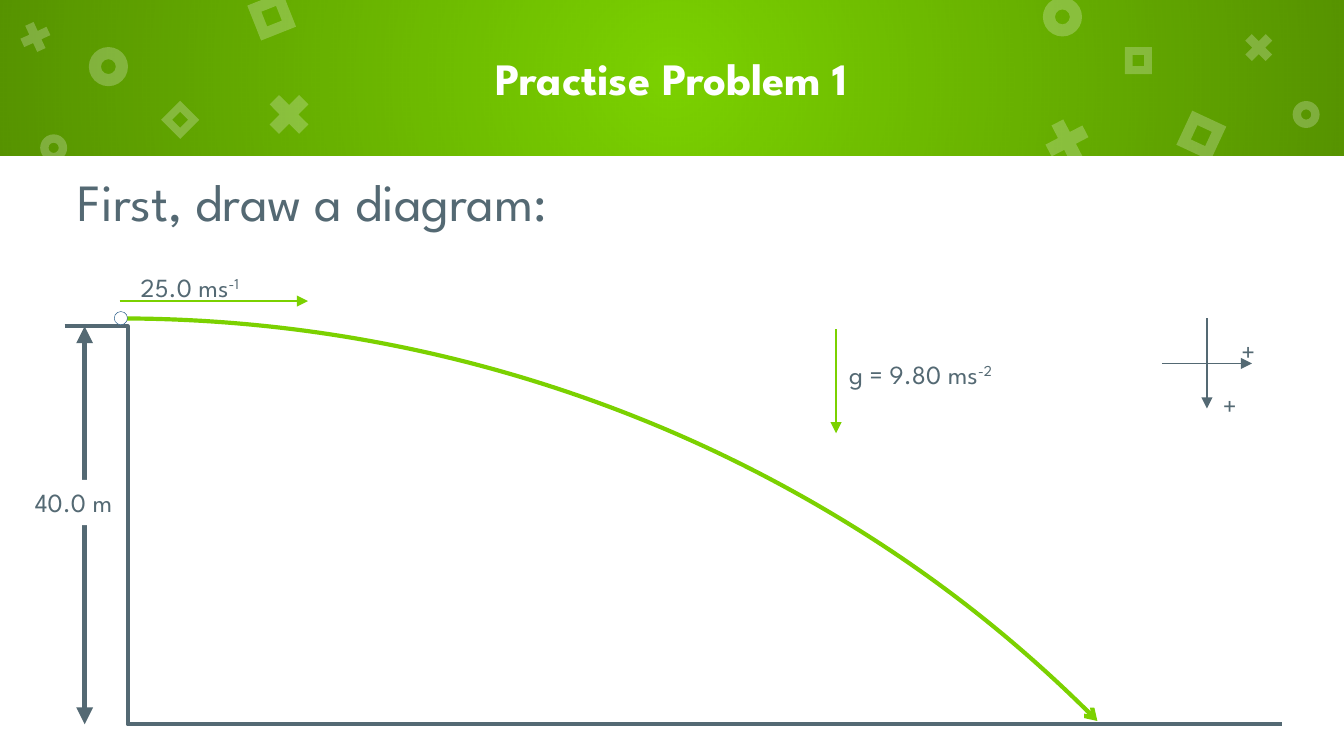
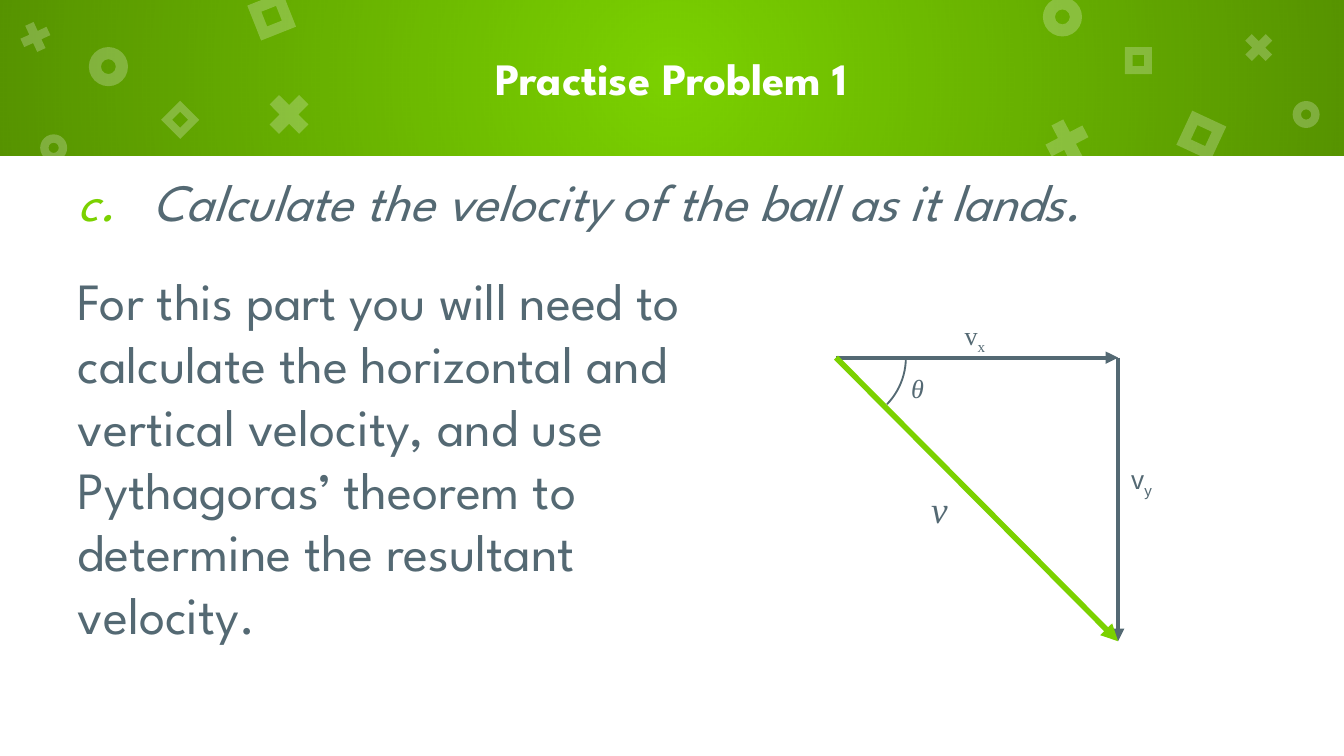
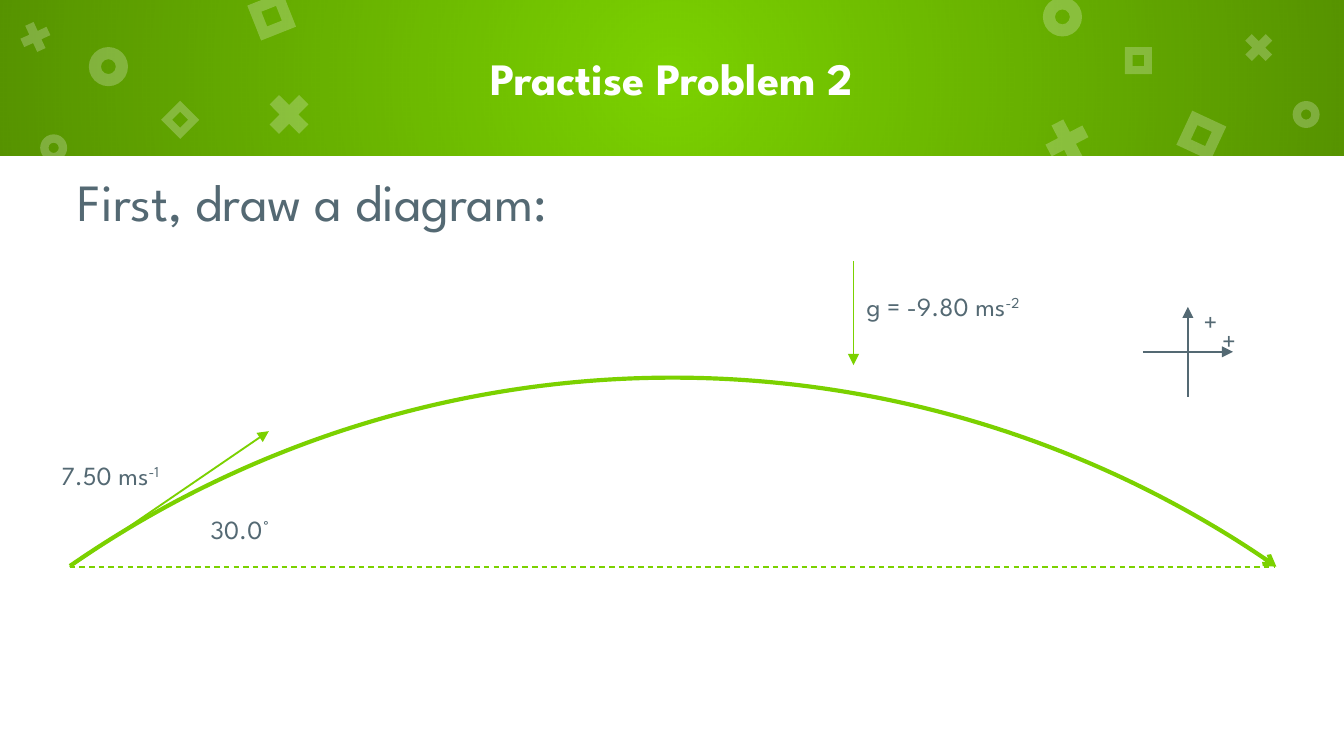
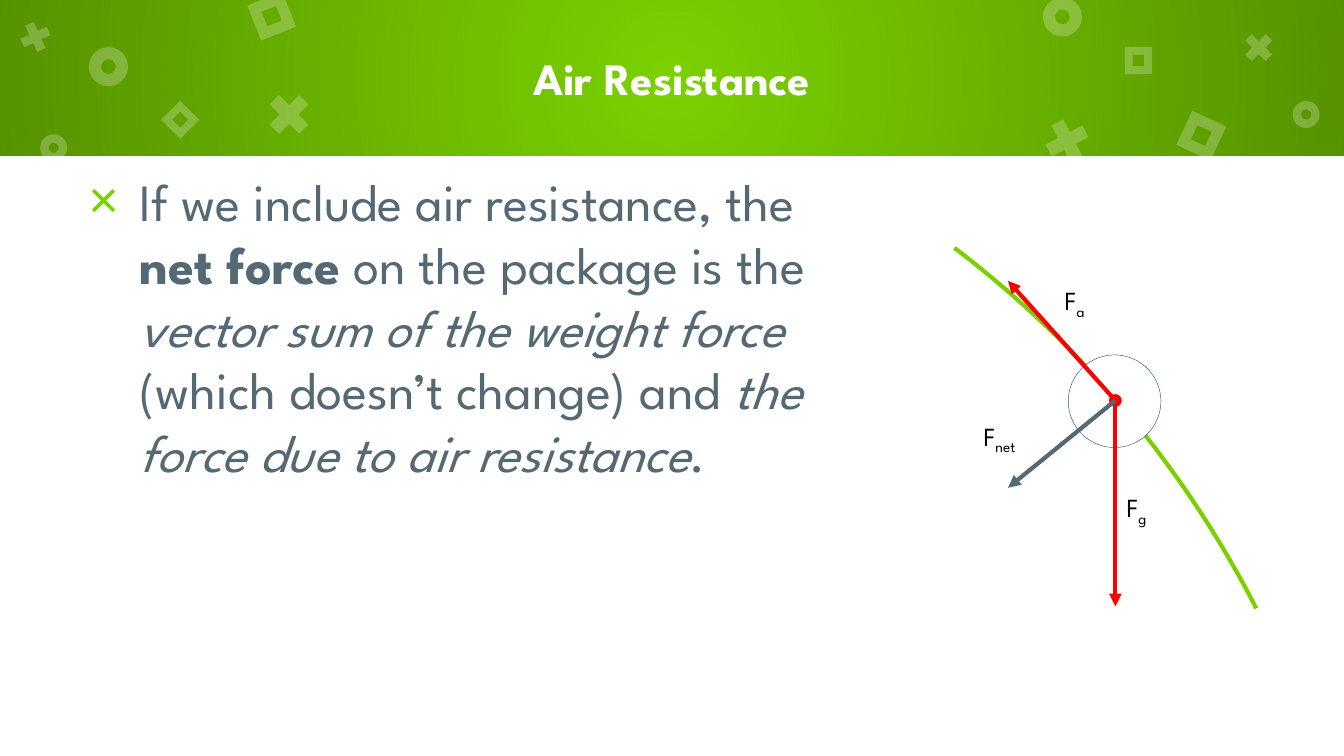
from lxml import etree
from pptx import Presentation
from pptx.dml.color import RGBColor
from pptx.enum import dml, shapes, text
from pptx.oxml.ns import qn
from pptx.util import Cm, Pt

COLORS = {
    "green": "7BD100",
    "slate": "546973",
    "white": "FFFFFF",
    "black": "000000",
    "red": "FF0000",
    "outline": "2B5F8A",
}
FONT = "League Spartan"
SLIDE_W, SLIDE_H, BAND_H = 25.4, 14.29, 2.95
BODY_BOX = (1.22, BAND_H, 23.01, 10.72)
LABEL_H = 0.86
KIND = shapes.MSO_SHAPE

# left, top, size, rotation of the band ornaments, by outline and its thickness
ORNAMENTS = {
    (KIND.DONUT, 0.31): [
        (1.68, 0.89, 0.74, 0), (19.71, -0.05, 0.74, 0),
        (0.76, 2.54, 0.51, 0), (24.43, 1.91, 0.51, 0)],
    (KIND.MATH_MULTIPLY, 0.235): [
        (4.93, 1.63, 1.07, 0), (19.63, 2.13, 1.07, 17.5),
        (0.3, 0.33, 0.74, 20.4), (23.42, 0.53, 0.74, 0)],
    (KIND.FRAME, 0.289): [
        (4.78, -0.05, 0.71, 338.4), (22.35, 2.21, 0.71, 25),
        (3.15, 2.01, 0.51, 45), (21.26, 0.89, 0.51, 0)],
}


def rgb(color):
    return RGBColor.from_string(COLORS[color])


def sub(parent, tag, **attributes):
    """Append an XML child such as a:alpha and return it."""
    return etree.SubElement(parent, qn(tag), attributes)


def write(frame, runs, size=14, color="slate", font=FONT, bold=False, italic=False,
          align="LEFT", anchor="TOP", inset=None, after=0):
    """Fill a frame with one paragraph; runs are strings or (string, changes)."""
    frame.word_wrap = True
    frame.auto_size = text.MSO_AUTO_SIZE.NONE
    frame.vertical_anchor = getattr(text.MSO_ANCHOR, anchor)
    if inset is not None:
        frame.margin_left = frame.margin_right = Cm(inset)
        frame.margin_top = frame.margin_bottom = Cm(inset)
    paragraph = frame.paragraphs[0]
    paragraph.alignment = getattr(text.PP_ALIGN, align)
    paragraph.space_before = Pt(0)
    paragraph.space_after = Pt(after)
    for item in runs:
        words, changes = (item, {}) if isinstance(item, str) else item
        run = paragraph.add_run()
        run.text = words
        run.font.name = font
        run.font.size = Pt(size)
        run.font.bold = changes.get("bold", bold)
        run.font.italic = changes.get("italic", italic)
        run.font.color.rgb = rgb(color)
        if "baseline" in changes:
            run._r.get_or_add_rPr().set("baseline", str(changes["baseline"] * 1000))
    return paragraph


def sup(words):
    return words, {"baseline": 30}


def low(words):
    return words, {"baseline": -25}


def set_bullet(paragraph, margin=0, hanging=0, tag="a:buNone", **attributes):
    props = paragraph._p.get_or_add_pPr()
    props.set("marL", str(Cm(margin)))
    props.set("indent", str(-Cm(hanging)))
    if tag != "a:buNone":
        sub(sub(props, "a:buClr"), "a:srgbClr", val=COLORS["green"])
    sub(props, tag, **attributes)


def place(shape, left, top, width, height):
    shape.left, shape.top, shape.width, shape.height = map(Cm, (left, top, width, height))


def add_arrowheads(shape, head, tail):
    outline = shape._element.spPr.find(qn("a:ln"))
    for tag, style in (("a:headEnd", head), ("a:tailEnd", tail)):
        if style:
            sub(outline, tag, type=style)


def add_figure(slide, kind, left, top, width, height, fill=None, line=None, weight=1,
               rotation=0, tail=None):
    figure = slide.shapes.add_shape(kind, *map(Cm, (left, top, width, height)))
    figure.shadow.inherit = False
    figure.rotation = rotation
    if fill:
        figure.fill.solid()
        figure.fill.fore_color.rgb = rgb(fill)
    else:
        figure.fill.background()
    if line:
        figure.line.color.rgb = rgb(line)
        figure.line.width = Pt(weight)
        add_arrowheads(figure, None, tail)
    else:
        figure.line.fill.background()
    return figure


def add_arc(slide, left, top, width, height, start, end, **style):
    """Draw an arc between two angles in degrees, clockwise from the right."""
    arc = add_figure(slide, KIND.ARC, left, top, width, height, **style)
    arc.adjustments[0] = start * 0.6
    arc.adjustments[1] = end * 0.6


def add_line(slide, start, end, color="slate", weight=2.25, head=None, tail=None,
             dash=False, bend=None):
    """Join two points; bend is the share of the width where an elbow turns."""
    kind = shapes.MSO_CONNECTOR.STRAIGHT if bend is None else shapes.MSO_CONNECTOR.ELBOW
    line = slide.shapes.add_connector(kind, *map(Cm, (*start, *end)))
    line.line.color.rgb = rgb(color)
    line.line.width = Pt(weight)
    if dash:
        line.line.dash_style = dml.MSO_LINE.DASH
    add_arrowheads(line, head, tail)
    props = line._element.spPr
    sub(props, "a:effectLst")
    if bend is not None:
        guides = props.find(qn("a:prstGeom")).get_or_add_avLst()
        sub(guides, "a:gd", name="adj1", fmla=f"val {round(bend * 100000)}")


def add_label(slide, left, top, width, *runs, height=LABEL_H, **style):
    box = slide.shapes.add_textbox(*map(Cm, (left, top, width, height)))
    write(box.text_frame, runs, **style)


def add_axes(slide, x, y, down):
    """Draw the axes that show which directions count as positive."""
    arm = 0.85
    side = 1 if down else -1
    add_line(slide, (x, y + side * arm), (x, y - side * arm), weight=0.75, head="triangle")
    add_line(slide, (x - arm, y), (x + arm, y), weight=0.75, tail="triangle")
    for dx, dy in ((0.05, 0.37 if down else -1.01), (0.4, -0.65)):
        add_label(slide, x + dx, y + dy, 0.58, "+", align="CENTER")


def add_gravity(slide, x, y, value):
    add_line(slide, (x, y), (x, y + 1.97), "green", 1, tail="triangle")
    add_label(slide, x, y + 0.43, 3.94, f"g = {value} ms", sup("-2"))


def build_layout(layout, slide):
    """Draw the shared band on a slide and move it behind the layout's text."""
    layout.background.fill.solid()
    layout.background.fill.fore_color.rgb = rgb("green")
    place(layout.placeholders[0], 2.41, 0, 20.57, BAND_H)
    place(layout.placeholders[1], *BODY_BOX)

    shade = add_figure(slide, KIND.RECTANGLE, 0, 0, SLIDE_W, BAND_H)
    gradient = etree.Element(qn("a:gradFill"), {"rotWithShape": "1"})
    stops = sub(gradient, "a:gsLst")
    for position, alpha in ((0, 0), (100000, 30000)):
        stop = sub(stops, "a:gs", pos=str(position))
        sub(sub(stop, "a:srgbClr", val=COLORS["black"]), "a:alpha", val=str(alpha))
    radial = sub(gradient, "a:path", path="circle")
    sub(radial, "a:fillToRect", l="50000", t="50000", r="50000", b="50000")
    props = shade._element.spPr
    props.replace(props.find(qn("a:noFill")), gradient)

    page = add_figure(slide, KIND.RECTANGLE, 0, BAND_H, SLIDE_W, SLIDE_H - BAND_H, "white")
    band = [shade, page]
    for (kind, thickness), spots in ORNAMENTS.items():
        for left, top, size, rotation in spots:
            ornament = add_figure(slide, kind, left, top, size, size, "white",
                                  rotation=rotation)
            ornament.adjustments[0] = thickness
            tint = ornament._element.spPr.find(qn("a:solidFill"))[0]
            sub(tint, "a:alpha", val="24000")
            band.append(ornament)
    for depth, part in enumerate(band):
        layout.shapes._spTree.insert(2 + depth, part._element)


def add_slide(prs, title, runs, box=BODY_BOX, bullet=None, **style):
    layout = prs.slide_layouts[1]
    slide = prs.slides.add_slide(layout)
    if len(prs.slides) == 1:
        build_layout(layout, slide)
    write(slide.shapes.title.text_frame, [title], size=24, color="white", bold=True,
          align="CENTER", anchor="MIDDLE", inset=0.25)
    body = slide.placeholders[1]
    place(body, *box)
    paragraph = write(body.text_frame, runs, size=28, inset=0.25, **style)
    set_bullet(paragraph, **(bullet or {}))
    return slide


def build_cliff_throw(prs):
    slide = add_slide(prs, "Practise Problem 1", ["First, draw a diagram:"])
    add_arc(slide, -23.29, 6.02, 51.1, 49.17, 270, 317.43, line="green", weight=2.25,
            tail="arrow")
    cliff_top, ground = 6.17, 13.69
    add_line(slide, (1.6, cliff_top), (1.6, ground), weight=3, head="triangle",
             tail="triangle")
    cliff_height = add_figure(slide, KIND.RECTANGLE, 0.41, 9.07, 2.24, LABEL_H, "white")
    write(cliff_height.text_frame, ["40.0 m"])
    add_line(slide, (1.22, cliff_top), (24.23, ground), bend=0.052)
    add_axes(slide, 22.81, 6.87, down=True)
    add_line(slide, (2.26, 5.69), (5.82, 5.69), "green", 1, tail="triangle")
    add_label(slide, 2.41, 5, 2.97, "25.0 ms", sup("-1"))
    add_gravity(slide, 15.8, 6.22, "9.80")
    add_figure(slide, KIND.OVAL, 2.16, 5.89, 0.25, 0.25, "white", "outline", 0.25)


def build_landing_velocity(prs):
    slide = add_slide(
        prs, "Practise Problem 1", ["Calculate the velocity of the ball as it lands."],
        box=(1.22, BAND_H, 22.96, 1.85), italic=True, after=12,
        bullet=dict(margin=1.42, hanging=1.42, tag="a:buAutoNum",
                    type="alphaLcPeriod", startAt="3"))
    add_label(slide, 1.22, 4.83, 13.16,
              "For this part you will need to calculate the horizontal and vertical "
              "velocity, and use Pythagoras’ theorem to determine the resultant velocity.",
              height=8.86, size=28, inset=0.25)
    add_arc(slide, 14.58, 5.49, 2.54, 2.54, 270, 314, line="slate", rotation=90)
    start, corner, end = (15.8, 6.76), (21.13, 6.76), (21.13, 12.12)
    add_line(slide, start, corner, tail="triangle")
    add_line(slide, corner, end, tail="triangle")
    add_line(slide, start, end, "green", 3, tail="triangle")
    serif = "Times New Roman"
    add_label(slide, 17.98, 5.92, 0.94, "v", low("x"), font=serif)
    add_label(slide, 21.13, 8.64, 0.94, "v", low("y"), font="Arial")
    add_label(slide, 17.35, 9.07, 1.12, "v", height=1.12, size=20, font=serif, italic=True)
    add_label(slide, 16.97, 6.91, 0.94, "θ", font=serif, italic=True)


def build_angled_throw(prs):
    slide = add_slide(prs, "Practise Problem 2", ["First, draw a diagram:"])
    add_axes(slide, 22.45, 6.65, down=False)
    add_gravity(slide, 16.13, 4.93, "-9.80")
    add_arc(slide, -7.29, 7.14, 40.01, 40.01, 235.29, 304.77, line="green", weight=2.25,
            tail="arrow")
    launch = (1.32, 10.72)
    add_line(slide, launch, (24.1, 10.72), "green", 0.75, dash=True)
    add_label(slide, 3.73, 9.58, 2.97, "30.0°")
    add_label(slide, 0.91, 8.56, 2.97, "7.50 ms", sup("-1"))
    add_line(slide, launch, (5.08, 8.15), "green", 1, tail="triangle")


def build_air_resistance(prs):
    slanted = {"italic": True}
    slide = add_slide(
        prs, "Air Resistance",
        ["If we include air resistance, the ", ("net force", {"bold": True}),
         " on the package is the ", ("vector sum of the weight force", slanted),
         " (which doesn’t change) and ", ("the force due to air resistance", slanted), "."],
        box=(1.19, BAND_H, 15.24, 10.72),
        bullet=dict(margin=1.2, hanging=0.97, tag="a:buChar", char="×"))
    add_arc(slide, -14.07, 0.61, 40.01, 40.01, 307.23, 332.9, line="green", weight=2.25)
    add_figure(slide, KIND.OVAL, 20.19, 6.71, 1.75, 1.75, "white", "outline", 0.25)
    center = (21.08, 7.57)
    forces = [
        # tip, colour, start mark, subscript, label left, top, width
        ((21.08, 11.46), "red", "oval", "g", 20.78, 9.17, 1.4),
        ((19.05, 5.31), "red", "oval", "a", 19.61, 5.26, 1.4),
        ((19.05, 9.22), "slate", None, "net", 17.91, 7.82, 1.96),
    ]
    for tip, color, mark, subscript, left, top, width in forces:
        add_line(slide, center, tip, color, head=mark, tail="triangle")
        add_label(slide, left, top, width, "F", low(subscript), height=1.14,
                  color="black", align="CENTER")


def main():
    prs = Presentation()
    prs.slide_width, prs.slide_height = Cm(SLIDE_W), Cm(SLIDE_H)
    build_cliff_throw(prs)
    build_landing_velocity(prs)
    build_angled_throw(prs)
    build_air_resistance(prs)
    prs.save("out.pptx")


if __name__ == "__main__":
    main()
